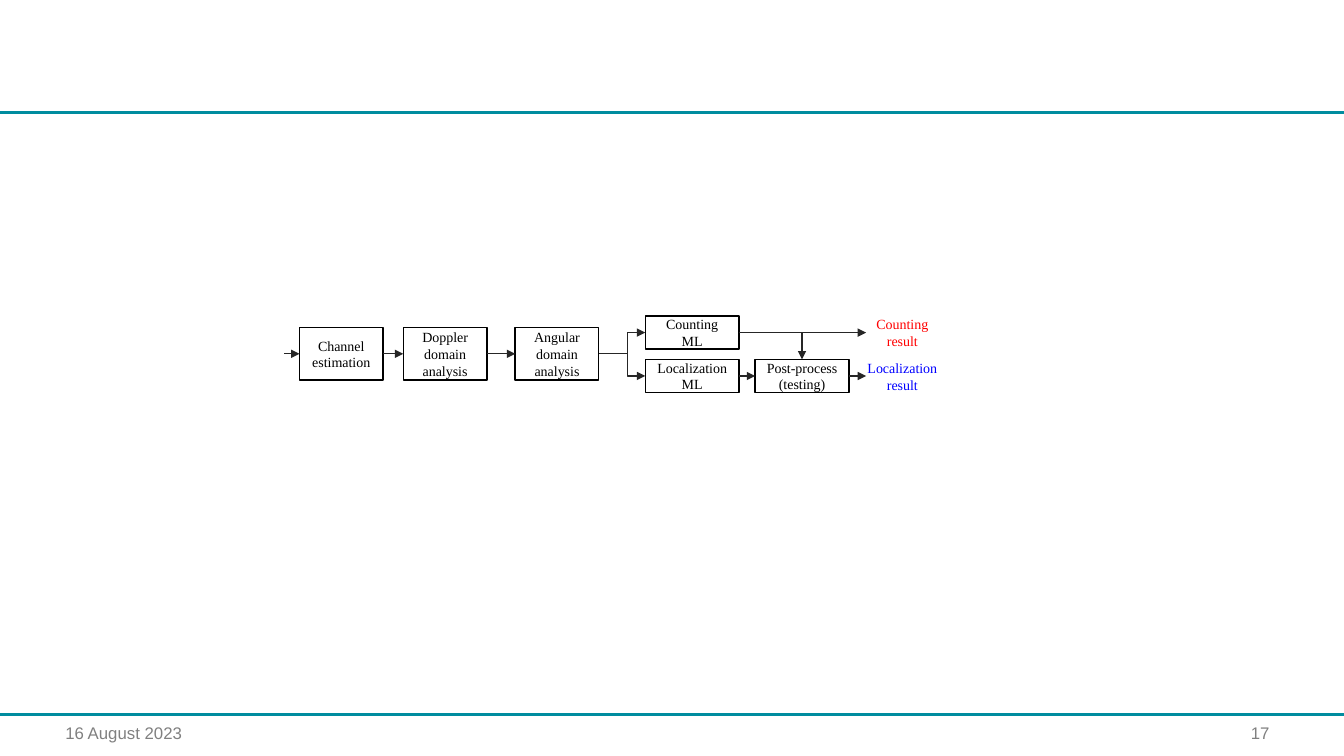
"""Build the slide with the channel sensing pipeline."""
from lxml import etree
from pptx import Presentation, util as u
from pptx.dml.color import RGBColor
from pptx.enum import shapes as s, text as t
from pptx.oxml import ns

WIDTH, HEIGHT = 13.33, 7.5
SERIF, SANS = "Times New Roman", "Arial"
TEAL, GREY, INK = "008C9F", "808080", "262626"
COLUMNS = {"input": 2.82, "channel": 2.97, "doppler": 4.0, "angular": 5.11,
           "model": 6.4, "post": 7.49, "output": 8.59}
ROWS = {"counting": 3.3, "trunk": 3.51, "localization": 3.73}
STAGE, MODEL = (0.83, 0.52), (0.93, 0.33)
RESULT_CENTRE = 8.95
TOP, LEFT, BOTTOM, RIGHT = range(4)


def colour(code):
    """Turn a hex string into a colour."""
    return RGBColor.from_string(code)


def write(shape, words, size=10, font=SERIF, ink="000000", align=t.PP_ALIGN.CENTER,
          anchor=t.MSO_ANCHOR.MIDDLE, insets=(0, 0)):
    """Put formatted lines of text into a shape."""
    frame = shape.text_frame
    frame.word_wrap = True
    frame.vertical_anchor = anchor
    frame.margin_left = frame.margin_right = u.Inches(insets[0])
    frame.margin_top = frame.margin_bottom = u.Inches(insets[1])
    frame.text = words
    for paragraph in frame.paragraphs:
        paragraph.alignment = align
        for run in paragraph.runs:
            run.font.size, run.font.name = u.Pt(size), font
            run.font.color.rgb = colour(ink)


def block(slide, column, row, size, words):
    """Draw a process block starting at a column and centred on a row."""
    width, height = size
    process = slide.shapes.add_shape(
        s.MSO_SHAPE.RECTANGLE, u.Inches(COLUMNS[column]),
        u.Inches(ROWS[row] - height / 2), u.Inches(width), u.Inches(height))
    process.shadow.inherit = False
    process.fill.solid()
    process.fill.fore_color.rgb = colour("FFFFFF")
    process.line.color.rgb = colour("000000")
    process.line.width = u.Pt(1)
    write(process, words)
    return process


def label(slide, left, top, width, height, words, **style):
    """Place text without an outline."""
    box = slide.shapes.add_textbox(*map(u.Inches, (left, top, width, height)))
    write(box, words, **style)


def line(slide, start, end, ink=INK, weight=1, kind=s.MSO_CONNECTOR.STRAIGHT, arrow=True):
    """Draw a connector, with an arrowhead at its end if wanted."""
    link = slide.shapes.add_connector(kind, *map(u.Inches, (*start, *end)))
    link.line.color.rgb = colour(ink)
    link.line.width = u.Pt(weight)
    if arrow:
        etree.SubElement(link.line._get_or_add_ln(), ns.qn("a:tailEnd"), type="triangle")
    etree.SubElement(link._element.spPr, ns.qn("a:effectLst"))
    return link


def elbow(slide, start, end, bend=None):
    """Draw a bent arrow that turns at a share of its width, or once at its end."""
    link = line(slide, start, end, kind=s.MSO_CONNECTOR.ELBOW)
    geometry = link._element.spPr.find(ns.qn("a:prstGeom"))
    if bend is None:
        geometry.set("prst", "bentConnector2")
    else:
        guides = geometry.find(ns.qn("a:avLst"))
        etree.SubElement(guides, ns.qn("a:gd"), name="adj1", fmla=f"val {round(bend * 100000)}")


def flow(slide, row, source=None, target=None):
    """Draw a level arrow between two blocks or the open ends of a row."""
    link = line(slide, (COLUMNS["input"], ROWS[row]), (COLUMNS["output"], ROWS[row]))
    if source is not None:
        link.begin_connect(source, RIGHT)
    if target is not None:
        link.end_connect(target, LEFT)


def page_frame(slide):
    """Draw the two rules, the date and the page number."""
    for height in (1.12, 7.09):
        line(slide, (0, height), (WIDTH, height), TEAL, 2, arrow=False)
    footer = dict(size=12, font=SANS, ink=GREY, anchor=t.MSO_ANCHOR.TOP, insets=(0.1, 0.05))
    label(slide, 0.55, 7.12, 2.9, 0.4, "16 August 2023", align=t.PP_ALIGN.LEFT, **footer)
    label(slide, 9.42, 7.12, 3.27, 0.4, "17", align=t.PP_ALIGN.RIGHT, **footer)


def pipeline(slide):
    """Draw the processing blocks, their arrows and the results."""
    channel = block(slide, "channel", "trunk", STAGE, "Channel\nestimation")
    doppler = block(slide, "doppler", "trunk", STAGE, "Doppler domain analysis")
    angular = block(slide, "angular", "trunk", STAGE, "Angular domain analysis")
    localization = block(slide, "model", "localization", MODEL, "Localization\nML")
    counting = block(slide, "model", "counting", MODEL, "Counting\nML")
    post = block(slide, "post", "localization", MODEL, "Post-process\n(testing)")

    flow(slide, "trunk", target=channel)
    flow(slide, "trunk", channel, doppler)
    flow(slide, "trunk", doppler, angular)
    flow(slide, "localization", localization, post)
    flow(slide, "localization", post)
    flow(slide, "counting", counting)

    fork = (COLUMNS["angular"] + STAGE[0], ROWS["trunk"])
    for row in ("counting", "localization"):
        elbow(slide, fork, (COLUMNS["model"], ROWS[row]), bend=0.62)
    elbow(slide, (COLUMNS["model"] + MODEL[0], ROWS["counting"]),
          (COLUMNS["post"] + MODEL[0] / 2, ROWS["localization"] - MODEL[1] / 2))

    for row, words, ink in (("counting", "Counting\nresult", "FF0000"),
                            ("localization", "Localization\nresult", "0000FF")):
        width, height = 0.93, 0.29
        label(slide, RESULT_CENTRE - width / 2, ROWS[row] - height / 2,
              width, height, words, ink=ink)


def main():
    """Create and save the presentation."""
    deck = Presentation()
    deck.slide_width, deck.slide_height = u.Inches(WIDTH), u.Inches(HEIGHT)
    slide = deck.slides.add_slide(deck.slide_layouts[6])
    page_frame(slide)
    pipeline(slide)
    deck.save("out.pptx")


if __name__ == "__main__":
    main()
